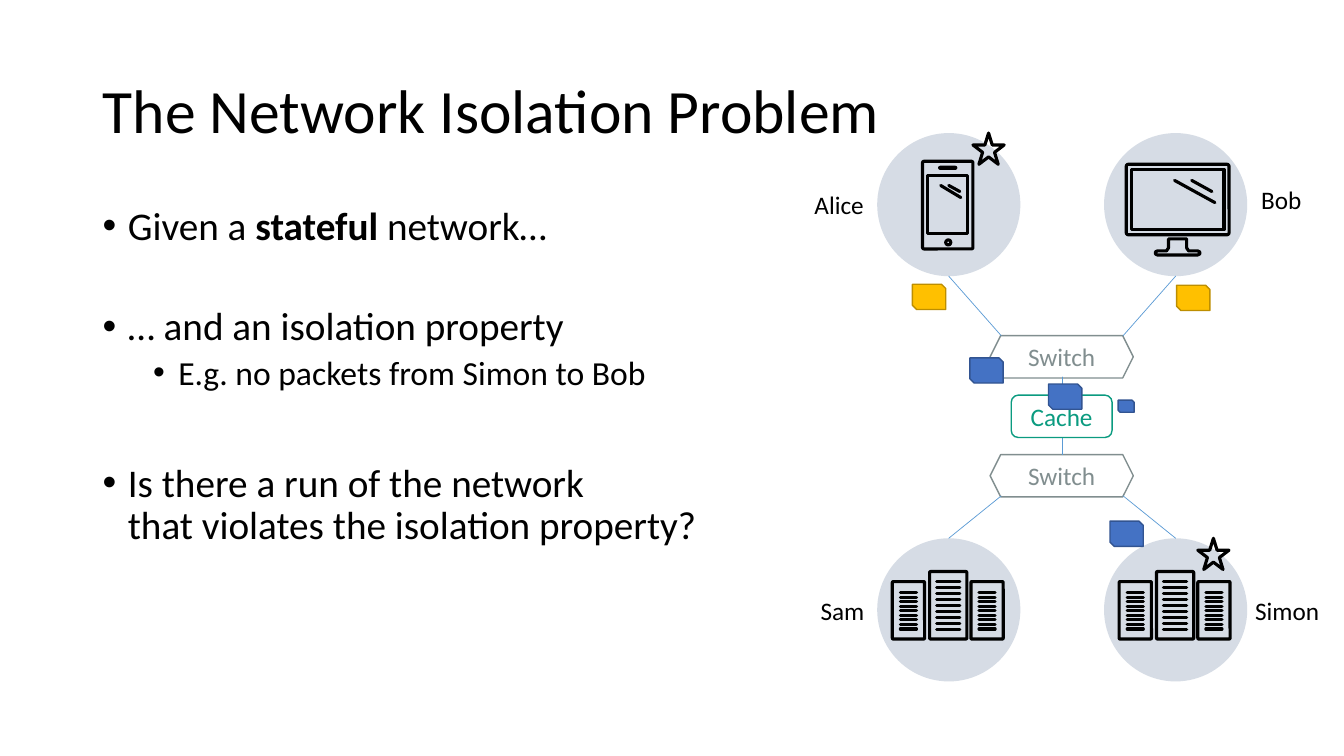
from lxml.etree import SubElement
from pptx import Presentation
from pptx.dml.color import RGBColor
from pptx.enum.shapes import MSO_CONNECTOR, MSO_SHAPE
from pptx.enum.text import MSO_ANCHOR, PP_ALIGN
from pptx.oxml.ns import qn
from pptx.util import Inches, Pt

BLACK, GREY, GREEN = "000000", "818E8F", "0B9B80"
CABLE, DISC = "5B9BD5", "D6DCE5"
BLUE, BLUE_EDGE = "4472C4", "325491"
GOLD, GOLD_EDGE = "FFC000", "BD8E00"
ICON_WIDTH = 2.25
DISC_SIZE = 1.42


def color(value):
    """Turn a hex string into a colour."""
    return RGBColor.from_string(value)


def set_font(font, size, value=BLACK):
    """Set the typeface, size and colour of a font."""
    font.name, font.size = "Calibri", Pt(size)
    font.color.rgb = color(value)


def set_line(shape, value, width):
    """Draw an outline with round ends and corners."""
    shape.line.color.rgb = color(value)
    shape.line.width = Pt(width)
    outline = shape._element.spPr.find(qn("a:ln"))
    outline.set("cap", "rnd")
    SubElement(outline, qn("a:round"))


def paint(shape, fill=None, line=None, width=1):
    """Set the fill and outline of a shape, leaving out what is not given."""
    shape.shadow.inherit = False
    if fill:
        shape.fill.solid()
        shape.fill.fore_color.rgb = color(fill)
    else:
        shape.fill.background()
    if line:
        set_line(shape, line, width)
    else:
        shape.line.fill.background()


def add_preset(shapes, kind, box, fill=None, line=None, width=1):
    """Add a preset shape in a box of inches."""
    shape = shapes.add_shape(kind, *map(Inches, box))
    paint(shape, fill, line, width)
    return shape


def add_frame(shapes, box, rounding=0.03):
    """Add a black outline with slightly rounded corners."""
    frame = add_preset(shapes, MSO_SHAPE.ROUNDED_RECTANGLE, box, None, BLACK, ICON_WIDTH)
    frame.adjustments[0] = rounding


def add_line(shapes, start, end, value=BLACK, width=ICON_WIDTH):
    """Add a straight line between two points."""
    line = shapes.add_connector(MSO_CONNECTOR.STRAIGHT, *map(Inches, (*start, *end)))
    set_line(line, value, width)
    SubElement(line._element.spPr, qn("a:effectLst"))


def add_disc(slide, left, top):
    """Start a device group with its round backdrop."""
    shapes = slide.shapes.add_group_shape().shapes
    add_preset(shapes, MSO_SHAPE.OVAL, (left, top, DISC_SIZE, DISC_SIZE), DISC)
    return shapes


def add_server(shapes, left, top, width, height, margin, first, step):
    """Draw one server cabinet with nine slots."""
    add_frame(shapes, (left, top, width, height))
    for slot in range(9):
        y = top + first + slot * step
        add_line(shapes, (left + margin, y), (left + width - margin, y))


def add_servers(slide, left, top):
    """Draw three server cabinets on a disc."""
    shapes = add_disc(slide, left, top)
    for offset in (0.15, 0.93):
        add_server(shapes, left + offset, top + 0.43, 0.32, 0.57, 0.08, 0.11, 0.045)
    add_server(shapes, left + 0.52, top + 0.33, 0.37, 0.67, 0.07, 0.1, 0.059)


def add_phone(slide, left, top):
    """Draw a phone on a disc."""
    shapes = add_disc(slide, left, top)
    add_frame(shapes, (left + 0.45, top + 0.28, 0.5, 0.87))
    add_frame(shapes, (left + 0.62, top + 0.34, 0.16, 0.01), 0.5)
    add_preset(shapes, MSO_SHAPE.RECTANGLE, (left + 0.5, top + 0.42, 0.4, 0.58),
               None, BLACK, ICON_WIDTH)
    add_preset(shapes, MSO_SHAPE.OVAL, (left + 0.68, top + 1.06, 0.05, 0.05),
               None, BLACK, ICON_WIDTH)
    add_line(shapes, (left + 0.71, top + 0.52), (left + 0.82, top + 0.58))
    add_line(shapes, (left + 0.63, top + 0.52), (left + 0.83, top + 0.64))


def add_monitor(slide, left, top):
    """Draw a monitor on a disc."""
    shapes = add_disc(slide, left, top)
    add_frame(shapes, (left + 0.22, top + 0.31, 1.02, 0.7))
    add_preset(shapes, MSO_SHAPE.RECTANGLE, (left + 0.27, top + 0.36, 0.92, 0.6),
               None, BLACK, ICON_WIDTH)
    half = [(0.09, 1.05), (0.09, 1.14), (0.11, 1.17), (0.2, 1.17),
            (0.22, 1.18), (0.22, 1.2), (0.2, 1.21)]
    outline = half + [(-x, y) for x, y in reversed(half)]
    points = [(Inches(left + 0.73 + x), Inches(top + y)) for x, y in outline]
    builder = shapes.build_freeform(*points[0])
    builder.add_line_segments(points[1:], close=True)
    paint(builder.convert_to_shape(), None, BLACK, ICON_WIDTH)
    add_line(shapes, (left + 0.87, top + 0.47), (left + 1.07, top + 0.58))
    add_line(shapes, (left + 0.7, top + 0.47), (left + 1.1, top + 0.69))


def add_node(slide, kind, text, box, value, fill=None):
    """Add a labelled network node."""
    node = add_preset(slide.shapes, kind, box, fill, value)
    frame = node.text_frame
    frame.text = text
    frame.word_wrap = False
    frame.vertical_anchor = MSO_ANCHOR.MIDDLE
    frame.margin_left = frame.margin_right = frame.margin_top = frame.margin_bottom = 0
    frame.paragraphs[0].alignment = PP_ALIGN.CENTER
    set_font(frame.paragraphs[0].runs[0].font, 18, value)


def add_label(slide, text, left, top, width):
    """Name a device."""
    label = slide.shapes.add_textbox(*map(Inches, (left, top, width, 0.4)))
    label.text_frame.word_wrap = True
    label.text_frame.text = text
    set_font(label.text_frame.paragraphs[0].runs[0].font, 18)


def add_title(slide, box):
    """Place and format the title."""
    title = slide.shapes.title
    title.left, title.top, title.width, title.height = map(Inches, box)
    title.text_frame.text = "The Network Isolation Problem"
    title.text_frame.vertical_anchor = MSO_ANCHOR.MIDDLE
    paragraph = title.text_frame.paragraphs[0]
    paragraph.alignment, paragraph.line_spacing = PP_ALIGN.LEFT, 0.9
    set_font(paragraph.runs[0].font, 44)


def add_bullets(slide, box):
    """Write the problem statement as bullets."""
    frame = slide.shapes.add_textbox(*map(Inches, box)).text_frame
    frame.word_wrap = True
    items = [
        (("Given a ", "stateful ", "network…"), 0, 28, 0),
        (("… and an isolation property",), 0, 28, 41.4),
        (("E.g. no packets from Simon to Bob",), 1, 24, 5),
        (("Is there a run of the network \vthat violates the isolation property?",), 0, 28, 50.8),
    ]
    for index, (pieces, level, size, space) in enumerate(items):
        paragraph = frame.add_paragraph() if index else frame.paragraphs[0]
        paragraph.text = pieces[0]
        for piece in pieces[1:]:
            paragraph.add_run().text = piece
        paragraph.level, paragraph.line_spacing = level, 0.9
        paragraph.space_before = Pt(space)
        properties = paragraph._p.get_or_add_pPr()
        properties.set("marL", str(Inches(0.25 + 0.5 * level)))
        properties.set("indent", str(Inches(-0.25)))
        SubElement(properties, qn("a:buFont")).set("typeface", "Arial")
        SubElement(properties, qn("a:buChar")).set("char", "•")
        for run in paragraph.runs:
            set_font(run.font, size)
            run.font.bold = run.text == "stateful "


def add_network(slide, left, top):
    """Draw the devices, switches, cables and packets of the network."""
    right, bottom = left + 2.25, top + 4.02
    add_servers(slide, right, bottom)
    add_phone(slide, left, top)
    add_monitor(slide, right, top)
    add_servers(slide, left, bottom)
    for offset in (2.01, 3.19):
        add_node(slide, MSO_SHAPE.HEXAGON, "Switch",
                 (left + 1.12, top + offset, DISC_SIZE, 0.42), GREY)
    for device, port in ((0.71, 1.23), (2.96, 2.44)):
        for device_y, port_y in ((1.42, 2.01), (4.02, 3.6)):
            add_line(slide.shapes, (left + device, top + device_y),
                     (left + port, top + port_y), CABLE, 0.5)
    add_line(slide.shapes, (left + 1.84, top + 3.19), (left + 1.84, top + 2.42), CABLE, 0.5)
    for x, y in ((0.95, 0), (3.18, 4.02)):
        add_preset(slide.shapes, MSO_SHAPE.STAR_5_POINT, (left + x, top + y, 0.31, 0.31),
                   None, BLACK, ICON_WIDTH)
    for text, x, y, width in (("Alice", -0.72, 0.51, 0.94), ("Bob", 3.71, 0.46, 0.71),
                              ("Sam", -0.66, 4.54, 0.71), ("Simon", 3.65, 4.54, 0.91)):
        add_label(slide, text, left + x, top + y, width)
    add_node(slide, MSO_SHAPE.ROUNDED_RECTANGLE, "Cache",
             (left + 1.33, top + 2.6, 1, 0.42), GREEN, "FFFFFF")
    gold, blue = (GOLD, GOLD_EDGE), (BLUE, BLUE_EDGE)
    for x, y, scale, colors in ((2.97, 1.51, 1, gold), (1.7, 2.49, 1, blue),
                                (0.35, 1.5, 1, gold), (2.31, 3.85, 1, blue),
                                (2.39, 2.65, 0.48, blue), (0.92, 2.23, 1, blue)):
        add_preset(slide.shapes, MSO_SHAPE.SNIP_2_DIAG_RECTANGLE,
                   (left + x, top + y, 0.33 * scale, 0.25 * scale), *colors)


def main():
    """Build and save the presentation."""
    presentation = Presentation()
    presentation.slide_width, presentation.slide_height = Inches(13.33), Inches(7.5)
    slide = presentation.slides.add_slide(presentation.slide_layouts[5])
    add_title(slide, (0.92, 0.4, 11.5, 1.45))
    add_bullets(slide, (0.92, 2, 11.5, 4.76))
    add_network(slide, 8.7, 1.32)
    presentation.save("out.pptx")


if __name__ == "__main__":
    main()
